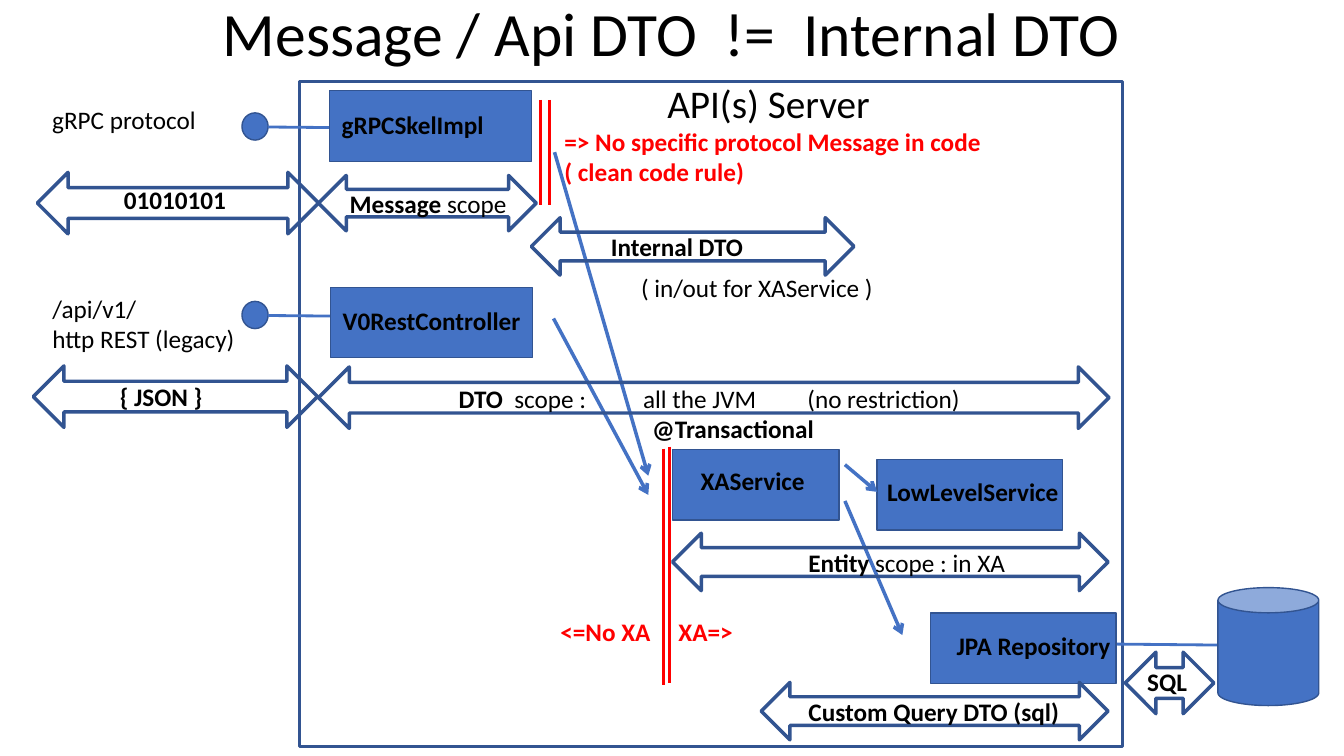
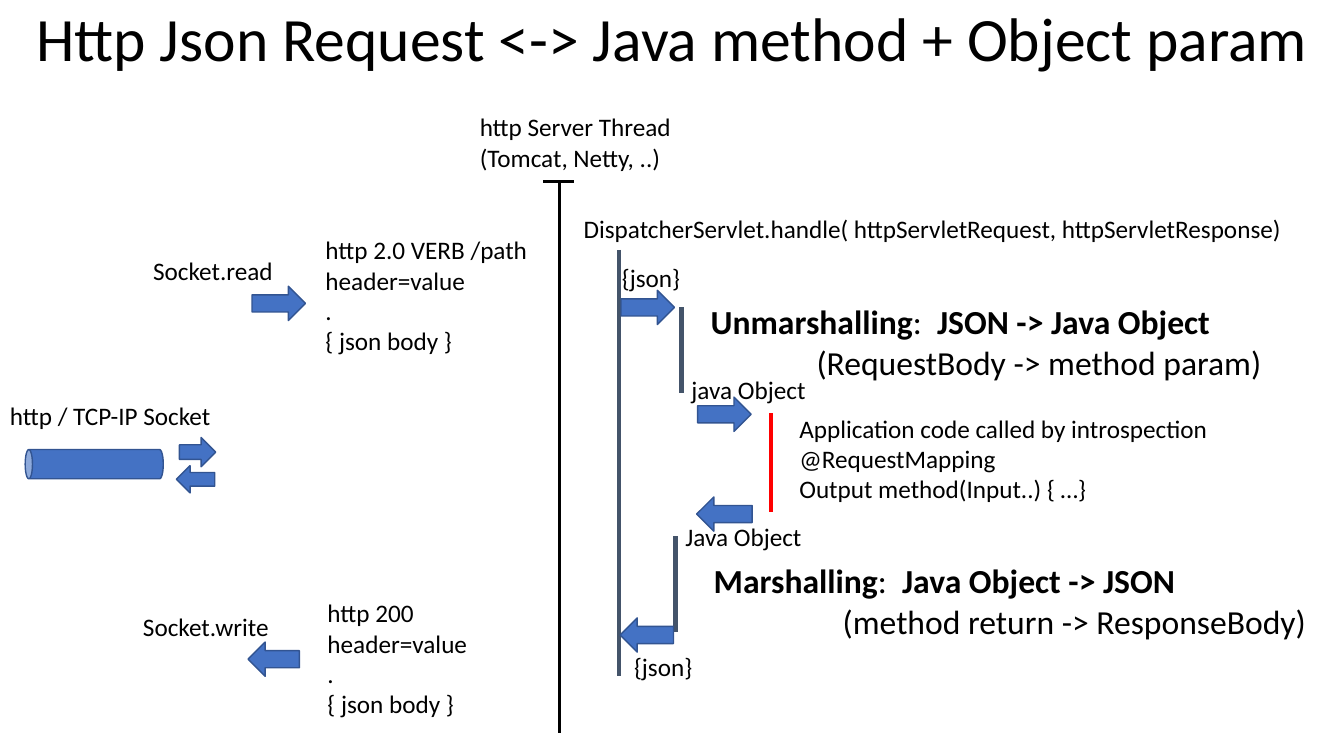
from lxml.etree import SubElement
from pptx import Presentation
from pptx.dml.color import RGBColor
from pptx.enum.shapes import MSO_CONNECTOR, MSO_SHAPE as SHP
from pptx.enum.text import MSO_ANCHOR, MSO_AUTO_SIZE, PP_ALIGN
from pptx.oxml.ns import qn
from pptx.util import Inches, Pt

BLACK = RGBColor(0x00, 0x00, 0x00)
RED = RGBColor(0xFF, 0x00, 0x00)
BLUE = RGBColor(0x44, 0x72, 0xC4)
NAVY = RGBColor(0x32, 0x54, 0x91)
SLATE = RGBColor(0x44, 0x54, 0x6A)
FONT = "Calibri"
LAYOUT_TITLE_ONLY = 5


def style(font, size, color=BLACK, bold=False):
    """Apply the deck's typeface with the given size, colour and weight."""
    font.name, font.size, font.bold = FONT, Pt(size), bold
    font.color.rgb = color


def add_slide(prs, title, left, top, width, height):
    """Add a title-only slide and place its centred title."""
    slide = prs.slides.add_slide(prs.slide_layouts[LAYOUT_TITLE_ONLY])
    sp = slide.shapes.title
    sp.left, sp.top = Inches(left), Inches(top)
    sp.width, sp.height = Inches(width), Inches(height)
    tf = sp.text_frame
    tf.word_wrap = True
    tf.auto_size = MSO_AUTO_SIZE.NONE
    tf.vertical_anchor = MSO_ANCHOR.MIDDLE
    p = tf.paragraphs[0]
    p.alignment, p.line_spacing = PP_ALIGN.CENTER, 0.9
    r = p.add_run()
    r.text = title
    style(r.font, 44)
    return slide


def add_text(slide, text, left, top, width, height=0.4, size=18, color=BLACK,
             bold=False, last_indent=0, tabs=()):
    """Add a text box, one paragraph per line, with **bold** parts."""
    sp = slide.shapes.add_textbox(Inches(left), Inches(top), Inches(width), Inches(height))
    tf = sp.text_frame
    tf.word_wrap = True
    tf.auto_size = MSO_AUTO_SIZE.SHAPE_TO_FIT_TEXT
    tf.margin_right = 0
    lines = text.split("\n")
    for i, line in enumerate(lines):
        p = tf.paragraphs[0] if i == 0 else tf.add_paragraph()
        pPr = p._p.get_or_add_pPr()
        if last_indent and i == len(lines) - 1:
            pPr.set("marL", str(Inches(last_indent)))
        if tabs:
            tab_list = SubElement(pPr, qn("a:tabLst"))
            for pos in tabs:
                SubElement(tab_list, qn("a:tab"), pos=str(Inches(pos)), algn="l")
        for j, part in enumerate(line.split("**")):
            if part:
                r = p.add_run()
                r.text = part
                style(r.font, size, color, bold or j % 2 == 1)


def add_shape(slide, kind, left, top, width, height, fill=BLUE, weight=1, rotation=0):
    """Add a navy-outlined preset shape, hollow when fill is None."""
    sp = slide.shapes.add_shape(kind, Inches(left), Inches(top), Inches(width), Inches(height))
    sp.shadow.inherit = False
    if fill is None:
        sp.fill.background()
    else:
        sp.fill.solid()
        sp.fill.fore_color.rgb = fill
    sp.line.color.rgb = NAVY
    sp.line.width = Pt(weight)
    sp.rotation = rotation


def add_line(slide, x1, y1, x2, y2, color=BLUE, weight=2, arrow=False):
    """Add a straight line, with an open arrowhead at its end on request."""
    sp = slide.shapes.add_connector(
        MSO_CONNECTOR.STRAIGHT, Inches(x1), Inches(y1), Inches(x2), Inches(y2))
    sp.line.color.rgb = color
    sp.line.width = Pt(weight)
    if arrow:
        SubElement(sp.line._get_or_add_ln(), qn("a:tailEnd"), type="arrow")
    SubElement(sp._element.spPr, qn("a:effectLst"))


def build_dto_slide(prs):
    """Build the diagram of DTO scopes around the API server."""
    slide = add_slide(prs, "Message / Api DTO  !=  Internal DTO", -0.01, -0.14, 13.34, 1.01)
    add_shape(slide, SHP.RECTANGLE, 2.97, 0.81, 8.16, 6.6, fill=None, weight=2)
    add_text(slide, "API(s) Server", 6.52, 0.74, 2.23, 0.57, size=28)

    for top in (1.12, 2.99):
        add_shape(slide, SHP.OVAL, 2.4, top, 0.26, 0.27)
        add_line(slide, 2.66, top + 0.14, 3.73, top + 0.15)
    add_text(slide, "gRPC protocol", 0.42, 0.99, 1.64)
    add_text(slide, "/api/v1/\nhttp REST (legacy)", 0.42, 2.86, 2.09, 0.71)

    for left, top, width in ((3.27, 0.9, 2), (3.28, 2.85, 2), (6.67, 4.46, 1.65),
                             (8.7, 4.56, 1.84), (9.23, 6.08, 1.84)):
        add_shape(slide, SHP.RECTANGLE, left, top, width, 0.7)

    for ends in ((5.5, 1.51, 6.43, 4.72), (5.49, 3.16, 6.43, 4.91),
                 (8.38, 4.97, 8.95, 6.3), (8.38, 4.61, 8.7, 4.88)):
        add_line(slide, *ends, weight=2.5, arrow=True)
    add_line(slide, 11.08, 6.39, 12.15, 6.4)
    add_shape(slide, SHP.CAN, 12.08, 5.83, 1, 1.17)

    for x, top, bottom in ((5.36, 0.99, 2.03), (5.45, 0.99, 2.03),
                           (6.64, 4.43, 6.78), (6.58, 4.45, 6.8)):
        add_line(slide, x, top, x, bottom, color=RED)

    for scope in ((0.37, 1.71, 2.79, 0.61), (3.16, 1.74, 2.16, 0.55),
                  (5.27, 2.16, 3.2, 0.57), (0.33, 3.63, 2.82, 0.61),
                  (3.16, 3.64, 7.84, 0.61), (6.67, 5.29, 4.32, 0.57),
                  (7.55, 6.77, 3.44, 0.57), (11.16, 6.47, 0.88, 0.61)):
        add_shape(slide, SHP.LEFT_RIGHT_ARROW, *scope, fill=None, weight=2.5)

    for label in (("gRPCSkelImpl", 3.29, 1.04, 1.62),
                  ("V0RestController", 3.3, 2.98, 1.98),
                  ("@Transactional", 6.37, 4.05, 1.82),
                  ("XAService", 6.85, 4.57, 1.24),
                  ("LowLevelService", 8.7, 4.68, 1.92),
                  ("JPA Repository", 9.39, 6.2, 1.74),
                  ("01010101", 1.13, 1.78, 1.23),
                  ("{ JSON }", 1.09, 3.73, 1.03),
                  ("Internal DTO", 5.96, 2.25, 1.52),
                  ("Custom Query DTO (sql)", 7.92, 6.86, 2.69),
                  ("SQL", 11.28, 6.56, 0.78)):
        add_text(slide, *label, bold=True)
    add_text(slide, "**Message** scope", 3.37, 1.82, 1.77)
    add_text(slide, "( in/out for XAService )", 6.26, 2.65, 2.53)
    add_text(slide, "**DTO**  scope :\tall the JVM\t(no restriction)", 4.45, 3.75, 5.25,
             tabs=(1.83, 3.46))
    add_text(slide, "**Entity** scope : in XA", 7.92, 5.38, 2.16)

    for note in (("XA=>", 6.63, 6.07, 0.75), ("<=No XA", 5.46, 6.07, 1.1),
                 ("=> No specific protocol Message in code\n( clean code rule)",
                  5.5, 1.2, 4.37, 0.71)):
        add_text(slide, *note, color=RED, bold=True)


def build_request_slide(prs):
    """Build the flow from an http request to a Java method and back."""
    slide = add_slide(prs, "Http Json Request <-> Java method + Object param",
                      -0.06, -0.31, 13.46, 1.45)
    add_line(slide, 5.55, 1.8, 5.55, 7.27, color=BLACK)
    add_line(slide, 5.39, 1.8, 5.69, 1.8, color=BLACK)
    for x, top, bottom, color in ((6.14, 2.48, 6.71, SLATE), (7.65, 4.1, 5.08, RED),
                                  (6.76, 3.05, 3.9, SLATE), (6.7, 5.32, 6.27, SLATE)):
        add_line(slide, x, top, x, bottom, color=color, weight=3)

    add_shape(slide, SHP.CAN, 0.79, 3.92, 0.29, 1.37, rotation=270)
    for arrow in ((2.5, 2.84, 0.53, 0.34), (6.16, 2.88, 0.53, 0.34),
                  (6.92, 3.94, 0.53, 0.34), (1.78, 4.34, 0.36, 0.29)):
        add_shape(slide, SHP.RIGHT_ARROW, *arrow)
    for arrow in ((2.46, 6.37, 0.51, 0.34), (6.15, 6.13, 0.53, 0.34),
                  (6.91, 4.93, 0.55, 0.34), (1.75, 4.62, 0.38, 0.27)):
        add_shape(slide, SHP.LEFT_ARROW, *arrow)

    message_body = "\nheader=value\n.\n{ json body }"
    for label in (("http Server Thread\n(Tomcat, Netty, ..)", 4.66, 1.06, 2.12, 0.71),
                  ("DispatcherServlet.handle( httpServletRequest, httpServletResponse)",
                   5.69, 2.07, 7.21),
                  ("Application code called by introspection\n@RequestMapping\n"
                   "Output method(Input..) { …}", 7.83, 4.05, 4.3, 1.01),
                  ("http / TCP-IP Socket", 0, 3.92, 2.23),
                  ("Socket.read", 1.42, 2.48, 1.41),
                  ("Socket.write", 1.32, 6.02, 1.67),
                  ("http 2.0 VERB /path" + message_body, 3.13, 2.28, 2.23, 1.31),
                  ("http 200" + message_body, 3.15, 5.88, 1.6, 1.31),
                  ("{json}", 6.07, 2.55, 0.78),
                  ("{json}", 6.19, 6.41, 0.78),
                  ("java Object", 6.76, 3.66, 1.34),
                  ("Java Object", 6.7, 5.12, 1.37)):
        add_text(slide, *label)
    add_text(slide, "**Unmarshalling**:  **JSON -> Java Object**\n(RequestBody -> method param)",
             6.95, 2.94, 5.71, 0.91, size=24, last_indent=1.05)
    add_text(slide, "**Marshalling**:  **Java Object -> JSON**\n(method return -> ResponseBody)",
             6.98, 5.51, 6.12, 0.91, size=24, last_indent=1.28)


def main():
    """Build and save the deck."""
    prs = Presentation()
    prs.slide_width, prs.slide_height = Inches(13.33), Inches(7.5)
    build_dto_slide(prs)
    build_request_slide(prs)
    prs.save("out.pptx")


if __name__ == "__main__":
    main()
